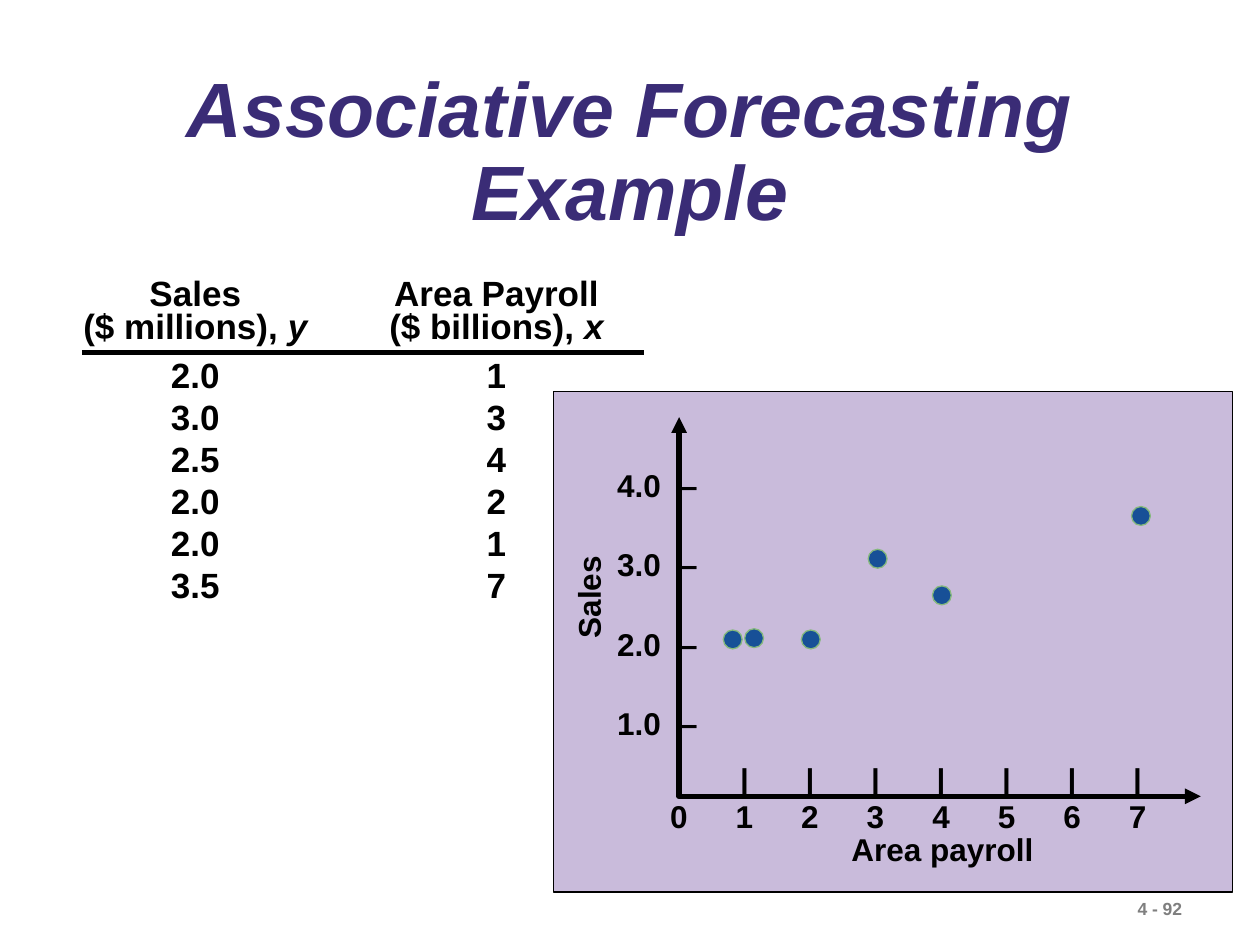
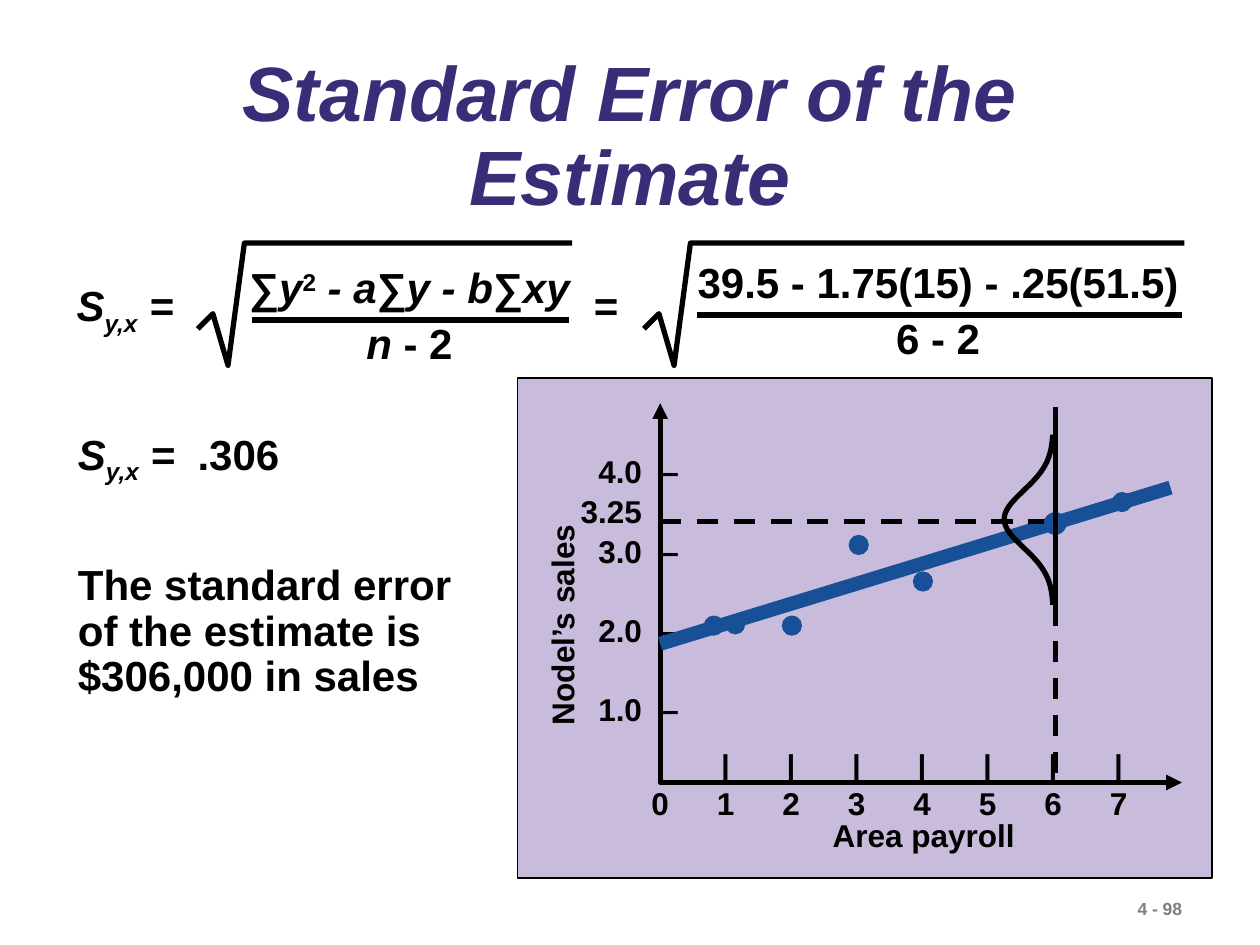
import math

import lxml.etree
import pptx
import pptx.dml.color
import pptx.enum.dml
import pptx.enum.shapes
import pptx.enum.text
import pptx.oxml.ns
import pptx.util

PX = 9144  # EMU per px, 100 px to the inch
FONT = "Arial"
BLACK, PURPLE, LILAC = "000000", "3A2C76", "C9BBDB"
BLUE, GREEN, GREY = "175097", "86B87D", "7F7F7F"
NO_GRID_STYLE = "{2D5ABB26-0587-4C30-8999-92F81FD0307C}"
ALIGN = pptx.enum.text.PP_ALIGN
ANCHOR = pptx.enum.text.MSO_ANCHOR

SALES_HEADER = [
    [[("Sales",)], [("($ millions), ",), ("y", True)]],
    [[("Area Payroll",)], [("($ billions), ",), ("x", True)]],
]
SALES_ROWS = [("2.0", "1"), ("3.0", "3"), ("2.5", "4"),
              ("2.0", "2"), ("2.0", "1"), ("3.5", "7")]
# Top left corners of the dots, measured from the origin of the plot
DOT_OFFSETS = [(359, -230), (201, -167), (150, -196),
               (97, -132), (52, -133), (35, -132)]
STANDARD_ERROR = [("S", True), ("y,x", True, -25)]


def emu(*lengths):
    return [pptx.util.Emu(round(length * PX)) for length in lengths]


def color(hex_string):
    return pptx.dml.color.RGBColor.from_string(hex_string)


def style_line(line, hex_string, width):
    line.color.rgb = color(hex_string)
    line.width = pptx.util.Pt(width)


def add_tab_stops(paragraph, tabs):
    """Add (position in px, alignment) tab stops."""
    properties = paragraph._p.get_or_add_pPr()
    tab_list = lxml.etree.SubElement(properties, pptx.oxml.ns.qn("a:tabLst"))
    for position, alignment in tabs:
        lxml.etree.SubElement(tab_list, pptx.oxml.ns.qn("a:tab"),
                              pos=str(position * PX), algn=alignment)


def write_paragraphs(text_frame, paragraphs, size, hex_string=BLACK,
                     align=ALIGN.LEFT, spacing=1.0, tabs=()):
    """Write paragraphs, each a list of (text, italic, baseline percent) runs."""
    for index, runs in enumerate(paragraphs):
        paragraph = text_frame.add_paragraph() if index else text_frame.paragraphs[0]
        paragraph.alignment = align
        paragraph.line_spacing = spacing
        if tabs:
            add_tab_stops(paragraph, tabs)
        for text, *options in runs:
            italic, baseline = (options + [False, 0][len(options):])
            run = paragraph.add_run()
            run.text = text
            run.font.name = FONT
            run.font.size = pptx.util.Pt(size)
            run.font.bold = True
            run.font.italic = italic
            run.font.color.rgb = color(hex_string)
            if baseline:
                run._r.get_or_add_rPr().set("baseline", str(baseline * 1000))


def add_text(slide, box, paragraphs, size, anchor=ANCHOR.TOP, rotation=0, **style):
    shape = slide.shapes.add_textbox(*emu(*box))
    shape.rotation = rotation
    text_frame = shape.text_frame
    text_frame.word_wrap = True
    text_frame.vertical_anchor = anchor
    write_paragraphs(text_frame, paragraphs, size, **style)


def add_title(slide, text, top, height):
    add_text(slide, (75, top, 850, height), [[(text, True)]], 44, ANCHOR.MIDDLE,
             hex_string=PURPLE, align=ALIGN.CENTER, spacing=0.9)


def add_page_number(slide, text):
    add_text(slide, (893, 708, 107, 27), [[(text,)]], 10, hex_string=GREY)


def add_preset(slide, kind, box, fill, line):
    shape = slide.shapes.add_shape(kind, *emu(*box))
    shape.shadow.inherit = False
    shape.fill.solid()
    shape.fill.fore_color.rgb = color(fill)
    style_line(shape.line, line, 0.75)


def add_dot(slide, left, top, size, line):
    add_preset(slide, pptx.enum.shapes.MSO_SHAPE.OVAL,
               (left, top, size, size), BLUE, line)


def add_line(slide, start, end, hex_string=BLACK, width=3):
    connector = slide.shapes.add_connector(
        pptx.enum.shapes.MSO_CONNECTOR.STRAIGHT, *emu(*start, *end))
    style_line(connector.line, hex_string, width)
    lxml.etree.SubElement(connector._element.spPr, pptx.oxml.ns.qn("a:effectLst"))


def add_polyline(slide, points, arrows=False, dash=None):
    start, *others = [emu(*point) for point in points]
    builder = slide.shapes.build_freeform(*start, scale=1.0)
    builder.add_line_segments(others, close=False)
    shape = builder.convert_to_shape()
    shape.shadow.inherit = False
    shape.fill.background()
    style_line(shape.line, BLACK, 3)
    if dash:
        shape.line.dash_style = dash
    if arrows:
        for end in ("a:headEnd", "a:tailEnd"):
            lxml.etree.SubElement(shape.line._get_or_add_ln(),
                                  pptx.oxml.ns.qn(end), type="triangle")


def add_sales_table(slide):
    header_height, row_height = 67, 33
    left, top, widths = 65, 215, (180, 298)
    table = slide.shapes.add_table(
        len(SALES_ROWS) + 1, len(widths),
        *emu(left, top, sum(widths),
             header_height + row_height * len(SALES_ROWS))).table
    table.first_row = table.horz_banding = False
    style = table._tbl.tblPr.find(pptx.oxml.ns.qn("a:tableStyleId"))
    style.text = NO_GRID_STYLE
    for column, width in zip(table.columns, widths):
        column.width = emu(width)[0]
    rows = [SALES_HEADER] + [[[[(value,)]] for value in row] for row in SALES_ROWS]
    for row_index, row in enumerate(rows):
        height = row_height if row_index else header_height
        table.rows[row_index].height = emu(height)[0]
        for column_index, paragraphs in enumerate(row):
            cell = table.cell(row_index, column_index)
            cell.fill.background()
            cell.margin_left = cell.margin_right = 0
            cell.margin_top = cell.margin_bottom = 0
            cell.vertical_anchor = ANCHOR.MIDDLE
            write_paragraphs(cell.text_frame, paragraphs, 20, align=ALIGN.CENTER,
                             spacing=1.0 if row_index else 0.85)
    add_line(slide, (65, 280), (511, 280))


def add_sales_plot(slide, panel, origin, dot_line, sales_label, sales_box):
    """Add the panel, dots, axes and labels of sales against payroll."""
    x, y = origin
    add_preset(slide, pptx.enum.shapes.MSO_SHAPE.RECTANGLE, panel, LILAC, BLACK)
    for across, down in DOT_OFFSETS:
        add_dot(slide, x + across, y + down, 15, dot_line)
    add_polyline(slide, [(x, y - 301), (x, y), (x + 414, y)], arrows=True)
    add_text(slide, (x - 59, y - 300, 100, 325),
             [[(f"{value}.0\t–",)] for value in (4, 3, 2, 1)], 18,
             spacing=2.1, tabs=[(50, "l")])
    add_text(slide, (x - 52, y - 34, 440, 70),
             [[("\t" + "\t|" * 7,)],
              [("".join(f"\t{value}" for value in range(8)),)]], 18,
             tabs=[(42 + 52 * value, "ctr") for value in range(8)])
    add_text(slide, sales_box, [[(sales_label,)]], 18, rotation=270,
             align=ALIGN.CENTER)
    add_text(slide, (x + 127, y + 22, 184, 40), [[("Area payroll",)]], 18)


def add_root_fraction(slide, left, right, bar_left, bar_y, text_box, numerator,
                      denominator):
    """Add a square root sign over a fraction."""
    add_text(slide, text_box, [numerator, denominator], 24,
             align=ALIGN.CENTER, spacing=1.1)
    add_line(slide, (bar_left, bar_y), (right, bar_y))
    add_polyline(slide, [(left, 261), (left + 12, 249), (left + 24, 290),
                         (left + 37, 193), (right + 2, 193)])


def add_forecast_overlay(slide, origin):
    """Add the regression line, the forecast at 6 and its error curve."""
    x, y = origin
    forecast_x, forecast_y = 838, 414
    add_line(slide, (x, 511), (929, 387), BLUE, 8)
    add_polyline(slide, [(x, forecast_y), (forecast_x, forecast_y), (forecast_x, y)],
                 dash=pptx.enum.dml.MSO_LINE.DASH)
    add_dot(slide, 829, 407, 17, BLUE)
    add_text(slide, (451, 386, 80, 40), [[("3.25",)]], 18)
    add_line(slide, (forecast_x, 323), (forecast_x, 497))
    add_polyline(slide, [
        (836 - 39 * math.exp(-((curve_y - 412) / 32) ** 2), curve_y)
        for curve_y in range(345, 481, 3)])


def build_example_slide(slide):
    add_page_number(slide, "4 - 92")
    add_title(slide, "Associative Forecasting Example", 51, 142)
    add_sales_plot(slide, (439, 311, 539, 397), (539, 632), GREEN,
                   "Sales", (417, 454, 100, 40))
    add_sales_table(slide)


def build_standard_error_slide(slide):
    origin = (524, 621)
    add_page_number(slide, "4 - 98")
    add_title(slide, "Standard Error of the Estimate", 42, 136)
    add_sales_plot(slide, (411, 300, 551, 397), origin, BLUE,
                   "Nodel’s sales", (346, 476, 200, 40))
    add_forecast_overlay(slide, origin)
    add_text(slide, (51, 217, 120, 56), [STANDARD_ERROR + [(" =", True)]], 24)
    add_text(slide, (461, 217, 45, 56), [[("=", True)]], 24)
    add_root_fraction(
        slide, 157, 452, 200, 254, (178, 199, 294, 98),
        [("∑",), ("y", True), ("2", False, 30), (" - a", True), ("∑",),
         ("y - b", True), ("∑",), ("xy", True)],
        [("n ", True), ("- 2",)])
    add_root_fraction(
        slide, 511, 938, 553, 250, (534, 195, 421, 98),
        [("39.5 - 1.75(15) - .25(51.5)",)], [("6 - 2",)])
    add_text(slide, (52, 335, 200, 56),
             [STANDARD_ERROR + [(" =\t", True), (".306",)]], 24, tabs=[(95, "l")])
    add_text(slide, (52, 443, 333, 118),
             [[("The standard error of the estimate is $306,000 in sales",)]], 24,
             spacing=0.9)


def main():
    presentation = pptx.Presentation()
    presentation.slide_width, presentation.slide_height = emu(1000, 750)
    blank = presentation.slide_layouts[6]
    for build in (build_example_slide, build_standard_error_slide):
        build(presentation.slides.add_slide(blank))
    presentation.save("out.pptx")


if __name__ == "__main__":
    main()
